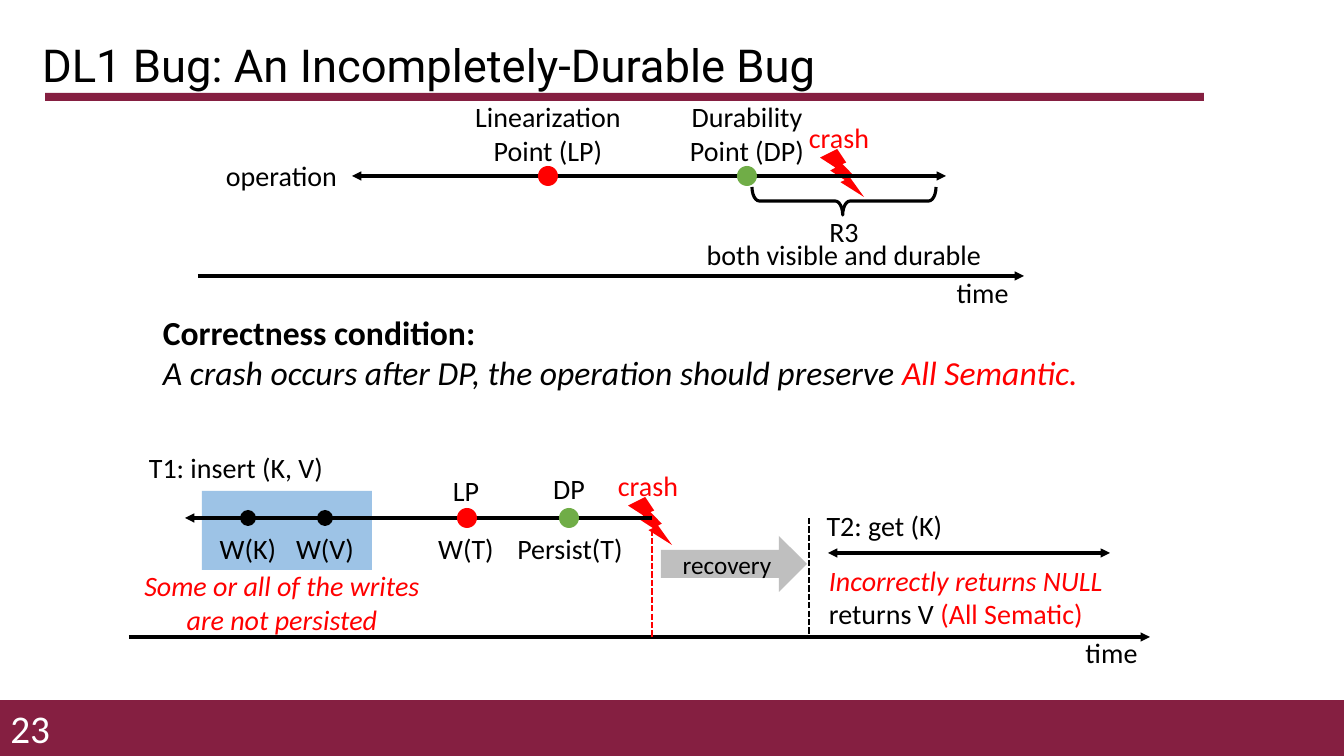
import pptx
import pptx.dml.color
import pptx.enum.dml
import pptx.enum.shapes
import pptx.enum.text
import pptx.oxml.ns
import pptx.util
import lxml.etree

PX = 914400 / 100.8
THEME = {
    "maroon": "851F41", "black": "000000", "white": "FFFFFF", "red": "FF0000",
    "green": "70AD47", "blue": "9DC3E6", "gray": "BFBFBF",
    "title_font": "Roboto", "body_font": "Calibri",
    "title": 32.4, "number": 28, "statement": 24, "label": 20, "arrow": 18,
}
SHAPE = pptx.enum.shapes.MSO_SHAPE
ALIGN = pptx.enum.text.PP_ALIGN
ANCHOR = pptx.enum.text.MSO_ANCHOR


def px(*lengths):
    return [pptx.util.Emu(round(length * PX)) for length in lengths]


def write(box, text, size="label", color="black", font="body_font", bold=False,
          italic=False, align=ALIGN.CENTER, anchor=ANCHOR.TOP, new_para=False):
    frame = box.text_frame
    frame.word_wrap = True
    frame.vertical_anchor = anchor
    para = frame.add_paragraph() if new_para else frame.paragraphs[-1]
    para.alignment = align
    span = para.add_run()
    span.text = text
    span.font.name = THEME[font]
    span.font.size = pptx.util.Pt(THEME[size])
    span.font.bold = bold
    span.font.italic = italic
    span.font.color.rgb = pptx.dml.color.RGBColor.from_string(THEME[color])
    return para


deck = pptx.Presentation()
deck.slide_width, deck.slide_height = px(1344, 756)
page = deck.slides.add_slide(deck.slide_layouts[5])

title = page.shapes.title
title.left, title.top, title.width, title.height = px(32, 40, 1159, 56)
title_para = write(title, "DL1 Bug: An Incompletely-Durable Bug", size="title",
                   font="title_font", align=ALIGN.LEFT, anchor=ANCHOR.MIDDLE)
title_para.line_spacing = 0.9
title.text_frame.auto_size = pptx.enum.text.MSO_AUTO_SIZE.NONE

lines = [
    (198, 276, 1024, 276, "black", 2.25, ["tail"]),
    (352, 176, 946, 176, "black", 2.25, ["head", "tail"]),
    (129, 637, 1150, 637, "black", 2.25, ["tail"]),
    (185, 518, 652, 518, "black", 2.25, ["head"]),
    (828, 553, 1110, 553, "black", 2.25, ["head", "tail"]),
    (652, 521, 652, 637, "red", 1.5, []),
    (809, 518, 809, 637, "black", 1.5, []),
]
shapes = [
    (SHAPE.RECTANGLE, 0, 700, 1344, 56, "maroon"),
    (SHAPE.RECTANGLE, 45, 93, 1159, 8, "maroon"),
    (SHAPE.RECTANGLE, 202, 491, 170, 79, "blue"),
    (SHAPE.RIGHT_ARROW, 661, 536, 146, 56, "gray"),
    (SHAPE.LEFT_BRACE, 830, 109, 28, 184, None),
    (SHAPE.LIGHTNING_BOLT, 820, 149, 44, 48, "red"),
    (SHAPE.LIGHTNING_BOLT, 628, 497, 44, 48, "red"),
]
dots = [
    (548, 176, 20, "red"), (747, 176, 20, "green"),
    (467, 518, 20, "red"), (569, 518, 20, "green"),
    (248, 518, 16, "black"), (325, 518, 16, "black"),
]
for center_x, center_y, size, color in dots:
    shapes.append((SHAPE.OVAL, center_x - size // 2, center_y - size // 2,
                   size, size, color))

drawn = {}
for kind, left, top, width, height, color in shapes[:3]+ shapes[3:]:
    shape = page.shapes.add_shape(kind, *px(left, top, width, height))
    shape.shadow.inherit = False
    if color:
        shape.fill.solid()
        shape.fill.fore_color.rgb = pptx.dml.color.RGBColor.from_string(THEME[color])
        shape.line.fill.background()
    else:
        shape.fill.background()
        shape.line.color.rgb = pptx.dml.color.RGBColor.from_string(THEME["black"])
        shape.line.width = pptx.util.Pt(2.25)
    drawn[kind] = shape

brace = drawn[SHAPE.LEFT_BRACE]
brace.rotation = 270
brace.adjustments[0] = 0.264
brace.adjustments[1] = 0.493
write(drawn[SHAPE.RIGHT_ARROW], "recovery", size="arrow", anchor=ANCHOR.MIDDLE)

first_dot = page.shapes[-len(dots)]
for start_x, start_y, end_x, end_y, color, weight, arrowheads in lines:
    line = page.shapes.add_connector(pptx.enum.shapes.MSO_CONNECTOR.STRAIGHT,
                                     *px(start_x, start_y, end_x, end_y))
    line.line.color.rgb = pptx.dml.color.RGBColor.from_string(THEME[color])
    line.line.width = pptx.util.Pt(weight)
    if not arrowheads:
        line.line.dash_style = pptx.enum.dml.MSO_LINE.SQUARE_DOT
    outline = line.line._get_or_add_ln()
    for end in arrowheads:
        lxml.etree.SubElement(outline, pptx.oxml.ns.qn(f"a:{end}End"), type="triangle")
    lxml.etree.SubElement(line._element.spPr, pptx.oxml.ns.qn("a:effectLst"))
    first_dot._element.addprevious(line._element)

left_text = {"align": ALIGN.LEFT}
red = {"color": "red"}
red_italic = {"color": "red", "italic": True}
labels = [
    (0, 708, 60, 40, "23", {"size": "number", "color": "white",
                            "align": ALIGN.RIGHT, "anchor": ANCHOR.MIDDLE}),
    (941, 271, 83, 44, "time", {}),
    (214, 154, 135, 44, "operation", {}),
    (657, 233, 374, 44, "both visible and durable", {}),
    (772, 210, 144, 44, "R3", {}),
    (463, 95, 170, 78, "Linearization Point (LP)", {}),
    (675, 95, 144, 78, "Durability Point (DP)", {}),
    (797, 116, 84, 44, "crash", red),
    (1070, 631, 83, 44, "time", {}),
    (135, 446, 202, 44, "T1: insert (K, V)", {}),
    (606, 464, 84, 44, "crash", red),
    (801, 504, 167, 44, "T2: get (K)", {}),
    (432, 469, 68, 44, "LP", {}),
    (535, 467, 68, 44, "DP", {}),
    (208, 527, 80, 44, "W(K)", {}),
    (285, 527, 80, 44, "W(V)", {}),
    (416, 527, 100, 44, "W(T)", {}),
    (505, 527, 130, 44, "Persist(T)", {}),
    (819, 559, 349, 44, "Incorrectly returns NULL", red_italic | left_text),
    (132, 564, 300, 78, "Some or all of the writes are not persisted", red_italic),
    (819, 592, 349, 44, "returns V ", left_text),
    (153, 307, 941, 92, "Correctness condition:",
     {"size": "statement", "bold": True} | left_text),
]
boxes = {}
for left, top, width, height, text, style in labels:
    boxes[text] = page.shapes.add_textbox(*px(left, top, width, height))
    write(boxes[text], text, **style)

write(boxes["returns V "], "(All Sematic)", color="red", align=ALIGN.LEFT)
condition = boxes["Correctness condition:"]
write(condition, "A crash occurs after DP, the operation should preserve ",
      size="statement", italic=True, align=ALIGN.LEFT, new_para=True)
write(condition, "All Semantic.", size="statement", color="red", italic=True,
      align=ALIGN.LEFT)

deck.save("out.pptx")
